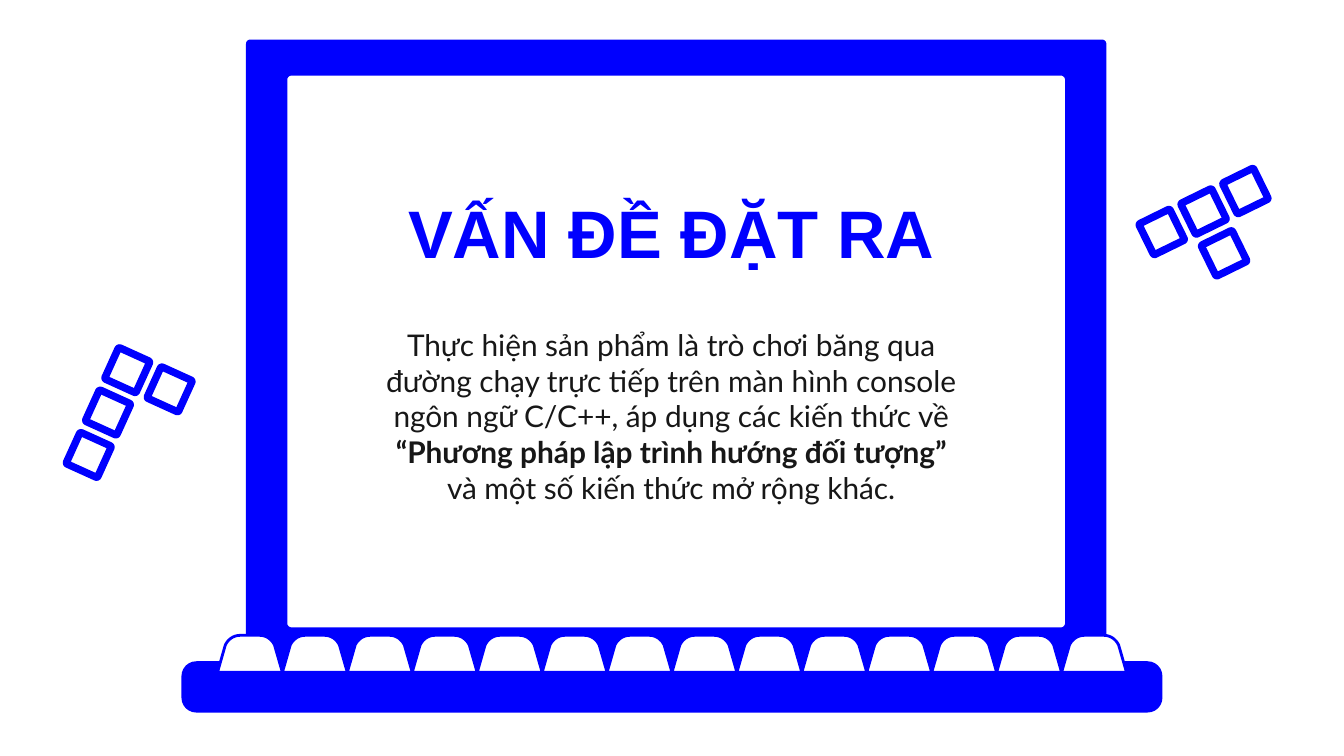
import math

from pptx import Presentation
from pptx import util as u
from pptx.dml.color import RGBColor
from pptx.enum import shapes, text

COLORS = {"blue": "0000FE", "white": "FFFFFF", "ink": "171717"}


def paint(shape, fill, line=None):
    """Set the fill and the optional outline colour of a shape."""
    shape.shadow.inherit = False
    shape.fill.solid()
    shape.fill.fore_color.rgb = RGBColor.from_string(COLORS[fill])
    if line:
        shape.line.color.rgb = RGBColor.from_string(COLORS[line])
        shape.line.width = u.Pt(1.5)
    else:
        shape.line.fill.background()


def rounded_box(left, top, width, height, radius):
    """Return the points of a rectangle with rounded corners."""
    corners = [
        (left + width - radius, top + height - radius),
        (left + radius, top + height - radius),
        (left + radius, top + radius),
        (left + width - radius, top + radius),
    ]
    points = []
    for quarter, (x, y) in enumerate(corners):
        for step in range(7):
            angle = math.radians(90 * quarter + 15 * step)
            points.append((x + radius * math.cos(angle), y + radius * math.sin(angle)))
    return points


def bezier(start, pull, push, end, steps=8):
    """Return points along a cubic curve."""
    def blend(t, a, b, c, d):
        s = 1 - t
        return s**3 * a + 3 * s * s * t * b + 3 * s * t * t * c + t**3 * d

    return [
        tuple(blend(i / steps, *axis) for axis in zip(start, pull, push, end))
        for i in range(steps + 1)
    ]


def add_outline(slide, *contours):
    """Draw closed contours, given in centimetres, as one shape."""
    builder = None
    for contour in contours:
        first, *rest = [(u.Cm(x), u.Cm(y)) for x, y in contour]
        if builder is None:
            builder = slide.shapes.build_freeform(*first)
        else:
            builder.move_to(*first)
        builder.add_line_segments(rest, close=True)
    return builder.convert_to_shape()


def add_text(slide, box, content, font, size, color, bold=(), anchor="TOP"):
    """Add a centred paragraph whose parts listed in bold are emphasised."""
    frame = slide.shapes.add_textbox(*map(u.Cm, box)).text_frame
    frame.word_wrap = True
    frame.vertical_anchor = getattr(text.MSO_ANCHOR, anchor)
    frame.margin_left = frame.margin_right = u.Cm(0.25)
    frame.margin_top = frame.margin_bottom = u.Cm(0.25)
    paragraph = frame.paragraphs[0]
    paragraph.alignment = text.PP_ALIGN.CENTER
    for part in content:
        run = paragraph.add_run()
        run.text = part
        run.font.name = font
        run.font.size = u.Pt(size)
        run.font.bold = part in bold
        run.font.color.rgb = RGBColor.from_string(COLORS[color])


def add_loose_keys(slide, box, tilt, cells):
    """Draw tilted square rings on a grid whose first cell is the box."""
    left, top, width, height = box
    pitch = 0.88
    cos, sin = math.cos(math.radians(tilt)), math.sin(math.radians(tilt))
    for column, row in cells:
        x = left + pitch * (column * cos - row * sin)
        y = top + pitch * (column * sin + row * cos)
        rim = 0.14
        ring = add_outline(
            slide,
            rounded_box(x, y, width, height, 0.1),
            rounded_box(x + rim, y + rim, width - 2 * rim, height - 2 * rim, 0),
        )
        ring.rotation = tilt
        paint(ring, "blue")


def add_message(slide, box):
    """Place the heading and the problem statement on the screen."""
    left, top, width, height = box
    heading = "VẤN ĐỀ ĐẶT RA"
    subject = "“Phương pháp lập trình hướng đối tượng” "
    add_text(slide, (left, top, width, 2.11), [heading], "Arial", 36, "blue",
             bold=[heading], anchor="MIDDLE")
    statement = [
        "Thực hiện sản phẩm là trò chơi băng qua đường chạy trực tiếp trên màn hình "
        "console ngôn ngữ C/C++, áp dụng các kiến thức về ",
        subject,
        "và một số kiến thức mở rộng khác.",
    ]
    add_text(slide, (left, top + 2.59, width, height - 2.59), statement, "Lato", 16,
             "ink", bold=[subject])


def add_screen(slide, box):
    """Draw the laptop lid with an open screen."""
    left, top, width, height = box
    side, brow = 0.78, 0.68
    lid = add_outline(
        slide,
        rounded_box(left, top, width, height, 0.08),
        rounded_box(left + side, top + brow, width - 2 * side, height - 2 * brow, 0.08),
    )
    paint(lid, "blue")


def add_keyboard(slide, box, count=14):
    """Draw the laptop base and its row of keys."""
    left, top, width, height = box
    base = slide.shapes.add_shape(
        shapes.MSO_SHAPE.ROUNDED_RECTANGLE, *map(u.Cm, box))
    base.adjustments[0] = 0.29
    paint(base, "blue")
    inset, rise, key_height = 0.68, 0.49, 0.7
    key_width = (width - 2 * inset) / count
    shoulder = bezier((0.15, 0.18), (0.2, 0.08), (0.3, 0), (0.43, 0))
    half = [(0, key_height)] + shoulder
    profile = half + [(key_width - x, y) for x, y in reversed(half)]
    for index in range(count):
        key_left = left + inset + index * key_width
        key = add_outline(
            slide, [(key_left + x, top - rise + y) for x, y in profile])
        paint(key, "white", line="blue")


def main():
    """Build and save the slide."""
    deck = Presentation()
    deck.slide_width, deck.slide_height = u.Cm(25.4), u.Cm(14.29)
    slide = deck.slides.add_slide(deck.slide_layouts[6])
    add_loose_keys(slide, (2.01, 6.6, 0.79, 0.79), 204.4,
                   [(0, -1), (0, -2), (0, 0), (-1, 0)])
    add_loose_keys(slide, (21.56, 3.99, 0.79, 0.79), 153.9,
                   [(-1, -1), (-1, 0), (-2, 0), (0, 0)])
    add_message(slide, (6.96, 3.33, 11.46, 6.2))
    add_screen(slide, (4.65, 0.75, 16.26, 11.79))
    add_keyboard(slide, (3.43, 12.5, 18.54, 0.97))
    deck.save("out.pptx")


if __name__ == "__main__":
    main()
